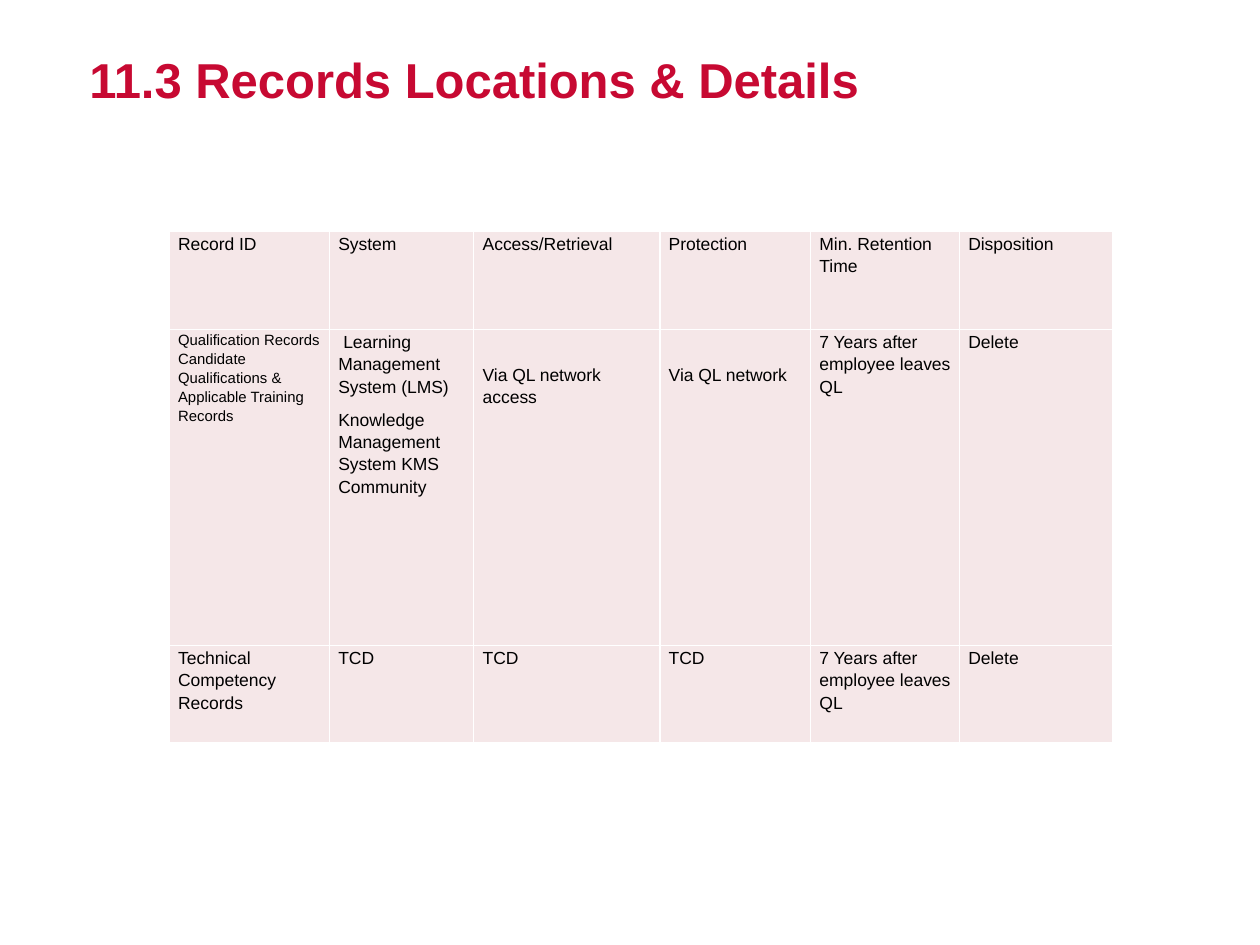
"""Build the slide that lists where records are kept."""
from dataclasses import dataclass

from lxml.etree import SubElement as Sub
from pptx import Presentation as Deck
from pptx.dml.color import RGBColor as Rgb
from pptx.enum.text import MSO_ANCHOR as Anchor, PP_ALIGN as Align
from pptx.oxml.ns import qn
from pptx.util import Cm, Pt

HUES = {"title": "C70932", "text": "000000", "cell": "F5E7E8", "rule": "FFFFFF"}
FONT = "Arial"
WIDTHS = (3.23, 2.91, 3.75, 3.04, 3.0, 3.1)
HEIGHTS = (1.97, 6.37, 1.97)


@dataclass(frozen=True)
class Entry:
    """Text of one cell, with its size in points and its offsets in cm."""
    text: str
    size: float = 10
    top: float = 0
    indent: float = 0


KEEP = (Entry("7 Years after employee leaves QL"), Entry("Delete"))
TCD = Entry("TCD")
HEADS = ("Record ID", "System", "Access/Retrieval", "Protection",
         "Min. Retention Time", "Disposition")
ROWS = (
    tuple(Entry(head) for head in HEADS),
    (
        Entry("Qualification Records Candidate Qualifications & "
              "Applicable Training Records", size=8.5),
        Entry("Learning Management System (LMS)\n"
              "Knowledge Management System KMS Community", indent=0.1),
        Entry("Via QL network access", top=0.67),
        Entry("Via QL network", top=0.67),
        *KEEP,
    ),
    (Entry("Technical Competency Records"), TCD, TCD, TCD, *KEEP),
)


def style(font, size: float, hue: str, bold: bool = False) -> None:
    """Set the face, size and colour of a font."""
    font.name, font.size, font.bold = FONT, Pt(size), bold
    font.color.rgb = Rgb.from_string(HUES[hue])


def rule(cell) -> None:
    """Draw a thin line on each side of a cell."""
    props = cell._tc.get_or_add_tcPr()
    for side in "LRTB":
        line = Sub(props, qn(f"a:ln{side}"), w=str(Pt(1)))
        Sub(Sub(line, qn("a:solidFill")), qn("a:srgbClr"), val=HUES["rule"])


def fill(cell, entry: Entry) -> None:
    """Write an entry into a table cell."""
    rule(cell)
    cell.fill.solid()
    cell.fill.fore_color.rgb = Rgb.from_string(HUES["cell"])
    cell.margin_left = cell.margin_right = Cm(0.18)
    cell.margin_top, cell.margin_bottom = Cm(entry.top), 0
    cell.text_frame.text = entry.text
    paras = cell.text_frame.paragraphs
    for para in paras:
        para.line_spacing, para.space_after = 1.15, Pt(6)
        style(para.font, entry.size, "text")
    if entry.indent:
        paras[0]._p.get_or_add_pPr().set("indent", str(Cm(entry.indent)))


def add_title(slide, text: str) -> None:
    """Place and format the title."""
    title = slide.shapes.title
    title.left, title.top = Cm(1.27), Cm(0.76)
    title.width, title.height = Cm(22.86), Cm(3.18)
    frame = title.text_frame
    frame.text = text
    frame.vertical_anchor = Anchor.TOP
    frame.margin_left, frame.margin_top = Cm(0.53), Cm(0.23)
    para = frame.paragraphs[0]
    para.alignment = Align.LEFT
    style(para.font, 28, "title", bold=True)


def add_grid(slide) -> None:
    """Add the table of records."""
    table = slide.shapes.add_table(
        len(HEIGHTS), len(WIDTHS), Cm(3.41), Cm(4.67),
        Cm(sum(WIDTHS)), Cm(sum(HEIGHTS))).table
    table.first_row = table.horz_banding = False
    for col, width in zip(table.columns, WIDTHS):
        col.width = Cm(width)
    for row, height, items in zip(table.rows, HEIGHTS, ROWS):
        row.height = Cm(height)
        for cell, entry in zip(row.cells, items):
            fill(cell, entry)


def main() -> None:
    """Build and save the deck."""
    deck = Deck()
    deck.slide_width, deck.slide_height = Cm(25.4), Cm(19.05)
    slide = deck.slides.add_slide(deck.slide_layouts[5])
    add_title(slide, "11.3 Records Locations & Details")
    add_grid(slide)
    deck.save("out.pptx")


if __name__ == "__main__":
    main()
